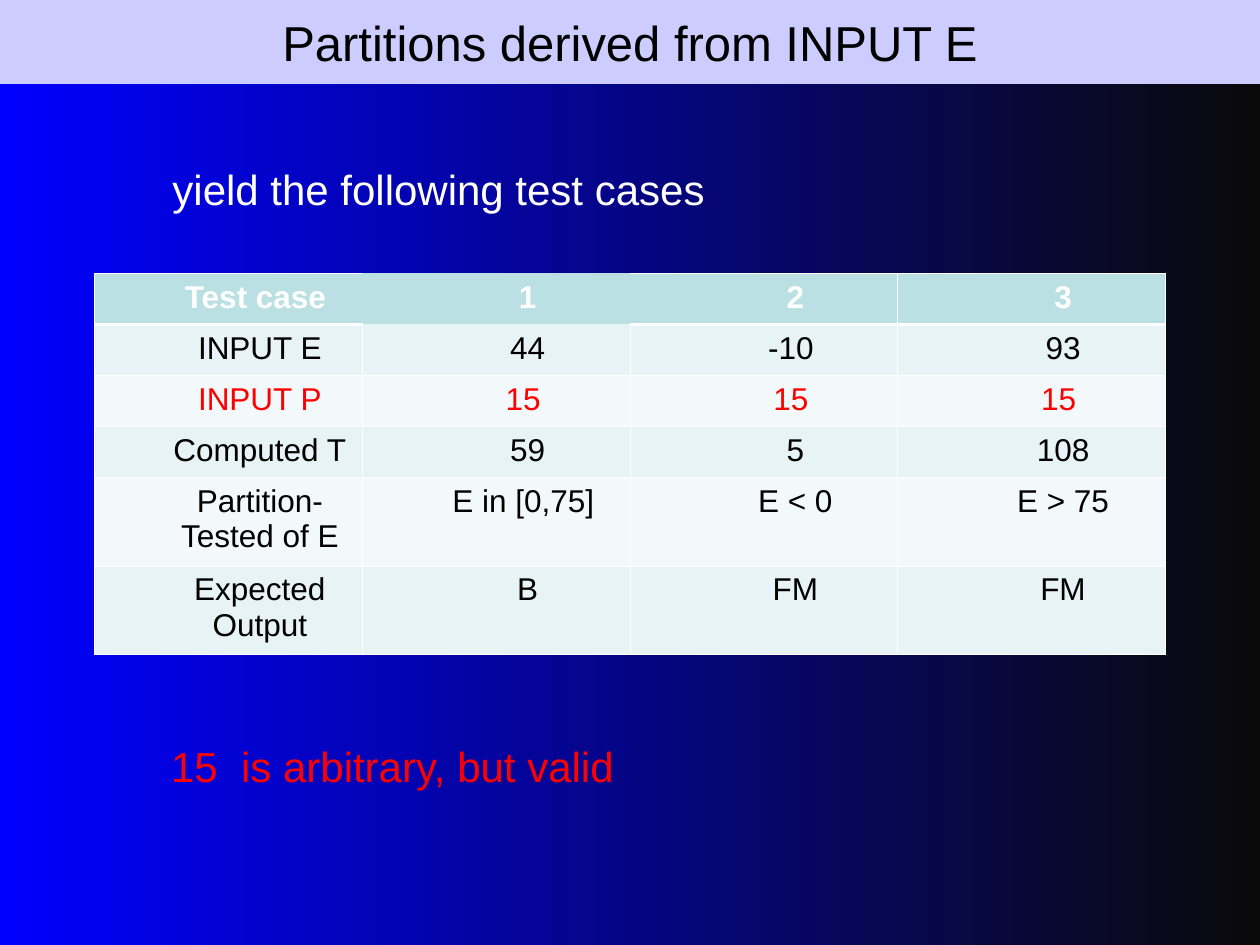
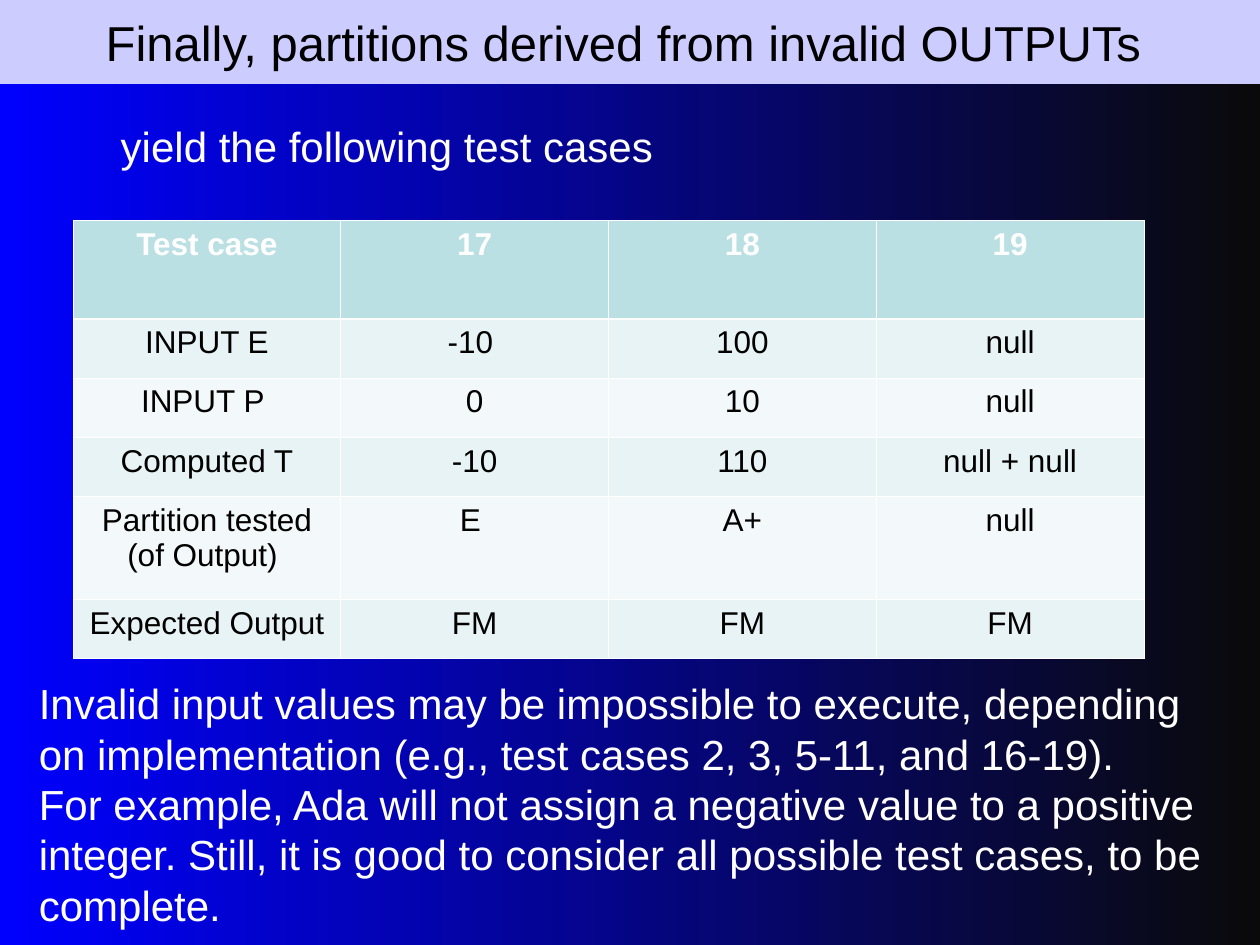
from dataclasses import dataclass

from lxml import etree
from pptx import Presentation
from pptx import util as u
from pptx.dml.color import RGBColor
from pptx.enum import text
from pptx.oxml.ns import qn

# Shared look
C = {"band": "CCCCFF", "bg_left": "0000FF", "bg_right": "0A0A0A",
     "head": "BBE0E3", "odd": "E7F3F4", "even": "F3F9FA",
     "white": "FFFFFF", "black": "000000", "red": "FF0000"}
FONT = "Arial"
TITLE_PT, NOTE_PT, CELL_PT = 28, 24, 18
THIN, THICK = 0.45, 1.47
SIDES = {"L": (0, -1), "R": (0, 1), "T": (-1, 0), "B": (1, 0)}  # row, column step

# Grid of 100 columns and 75 rows over the slide
W, H = u.Inches(10), u.Inches(7.5)
COLS, ROWS = 100, 75
TABLE_COL = 21.25
BAND_ROWS = 6.67


@dataclass
class Note:
    col: float
    row: float
    cols: float
    rows: float
    paragraphs: tuple[str, ...]
    color: str = "white"
    wrap: bool = False


@dataclass
class CaseTable:
    col: float
    row: float
    heights: tuple[float, ...]
    cells: tuple[tuple[str, ...], ...]
    indent: float = 0                             # grid columns
    red_row: int | None = None
    unlined: tuple[int, int] | None = None        # cell with no lines of its own


@dataclass
class Page:
    title: str
    table: CaseTable
    notes: tuple[Note, ...]


PAGES = (
    Page("Partitions derived from INPUT E",
         CaseTable(7.5, 21.7, (4.05,) * 4 + (7.03,) * 2,
                   (("Test case ", "1", "2", "3"),
                    ("INPUT E", "44", "-10 ", "93"),
                    ("INPUT P", "15 ", "15 ", "15 "),
                    ("Computed T", "59", "5", "108"),
                    ("Partition-Tested of E", "E in [0,75] ", "E < 0", "E > 75"),
                    ("Expected Output", "B", "FM", "FM")),
                   indent=5, red_row=2, unlined=(0, 1)),
         (Note(12.6, 58.3, 38.3, 5, ("15  is arbitrary, but valid",), "red"),
          Note(12.7, 12.5, 45.1, 5, ("yield the following test cases",)))),
    Page("Finally, partitions derived from invalid OUTPUTs ",
         CaseTable(5.8, 17.5, (7.8, 4.7, 4.7, 4.7, 8.2, 4.7),
                   (("Test case", "17", "18", "19"),
                    ("INPUT E", "-10 ", "100", "null"),
                    ("INPUT P ", "0", "10", "null"),
                    ("Computed T", "-10", "110", "null + null"),
                    ("Partition tested (of Output) ", "E ", "A+", "null"),
                    ("Expected Output", "FM", "FM", "FM"))),
         (Note(8.6, 9.1, 45.1, 5, ("yield the following test cases",)),
          Note(2.1, 53.3, 95.4, 21,
               ("Invalid input values may be impossible to execute, depending on "
                "implementation (e.g., test cases 2, 3, 5-11, and 16-19).",
                "For example, Ada will not assign a negative value to a positive "
                "integer. Still, it is good to consider all possible test cases, "
                "to be complete."), wrap=True))),
)


def x(cols: float) -> int:
    return round(W * cols / COLS)


def y(rows: float) -> int:
    return round(H * rows / ROWS)


def rgb(name: str) -> RGBColor:
    return RGBColor.from_string(C[name])


def add_run(p, words: str, size: float, color: str, bold: bool = False) -> None:
    r = p.add_run()
    r.text = words
    r.font.name, r.font.size, r.font.bold = FONT, u.Pt(size), bold
    r.font.color.rgb = rgb(color)


def paint_background(prs) -> None:
    fill = prs.slide_master.background.fill
    fill.gradient()
    fill.gradient_angle = 0
    for stop, place, name in zip(fill.gradient_stops, (0, 1), ("bg_left", "bg_right")):
        stop.position = place
        stop.color.rgb = rgb(name)


def draw_title(s, words: str) -> None:
    sp = s.shapes.title
    sp.left, sp.top, sp.width, sp.height = 0, 0, W, y(BAND_ROWS)
    sp.fill.solid()
    sp.fill.fore_color.rgb = rgb("band")
    tf = sp.text_frame
    tf.auto_size = text.MSO_AUTO_SIZE.NONE
    tf.vertical_anchor = text.MSO_ANCHOR.MIDDLE
    p = tf.paragraphs[0]
    p.alignment = text.PP_ALIGN.CENTER
    add_run(p, words, TITLE_PT, "black")


def draw_note(s, note: Note) -> None:
    sp = s.shapes.add_textbox(x(note.col), y(note.row), x(note.cols), y(note.rows))
    tf = sp.text_frame
    tf.word_wrap = note.wrap
    tf.auto_size = text.MSO_AUTO_SIZE.SHAPE_TO_FIT_TEXT
    for i, words in enumerate(note.paragraphs):
        p = tf.add_paragraph() if i else tf.paragraphs[0]
        add_run(p, words, NOTE_PT, note.color)


def draw_borders(cell, at: tuple[int, int], unlined: tuple[int, int] | None) -> None:
    tc_pr = cell._tc.get_or_add_tcPr()
    for i, (side, (dr, dc)) in enumerate(SIDES.items()):
        beyond = (at[0] + dr, at[1] + dc)
        under_head = {at[0], beyond[0]} == {0, 1}
        ln = etree.Element(qn(f"a:ln{side}"), w=str(u.Pt(THICK if under_head else THIN)))
        if unlined in (at, beyond):
            etree.SubElement(ln, qn("a:noFill"))
        else:
            fill = etree.SubElement(ln, qn("a:solidFill"))
            etree.SubElement(fill, qn("a:srgbClr"), val=C["white"])
        tc_pr.insert(i, ln)


def draw_table(s, t: CaseTable) -> None:
    n = len(t.cells[0])
    table = s.shapes.add_table(len(t.cells), n, x(t.col), y(t.row),
                               x(TABLE_COL * n), y(sum(t.heights))).table
    for column in table.columns:
        column.width = x(TABLE_COL)
    for r, words_in_row in enumerate(t.cells):
        table.rows[r].height = y(t.heights[r])
        fill = "head" if r == 0 else "odd" if r % 2 else "even"
        ink = "white" if r == 0 else "red" if r == t.red_row else "black"
        for c, words in enumerate(words_in_row):
            cell = table.cell(r, c)
            cell.fill.solid()
            cell.fill.fore_color.rgb = rgb(fill)
            draw_borders(cell, (r, c), t.unlined)
            p = cell.text_frame.paragraphs[0]
            p.alignment = text.PP_ALIGN.CENTER
            if t.indent:
                p.level = 1
                p_pr = p._p.get_or_add_pPr()
                p_pr.set("marL", str(x(t.indent)))
                p_pr.set("indent", "0")
            add_run(p, words, CELL_PT, ink, bold=r == 0)


def main() -> None:
    prs = Presentation()
    prs.slide_width, prs.slide_height = W, H
    paint_background(prs)
    for page in PAGES:
        s = prs.slides.add_slide(prs.slide_layouts[5])  # title only
        draw_title(s, page.title)
        draw_table(s, page.table)
        for note in page.notes:
            draw_note(s, note)
    prs.save("out.pptx")


if __name__ == "__main__":
    main()
